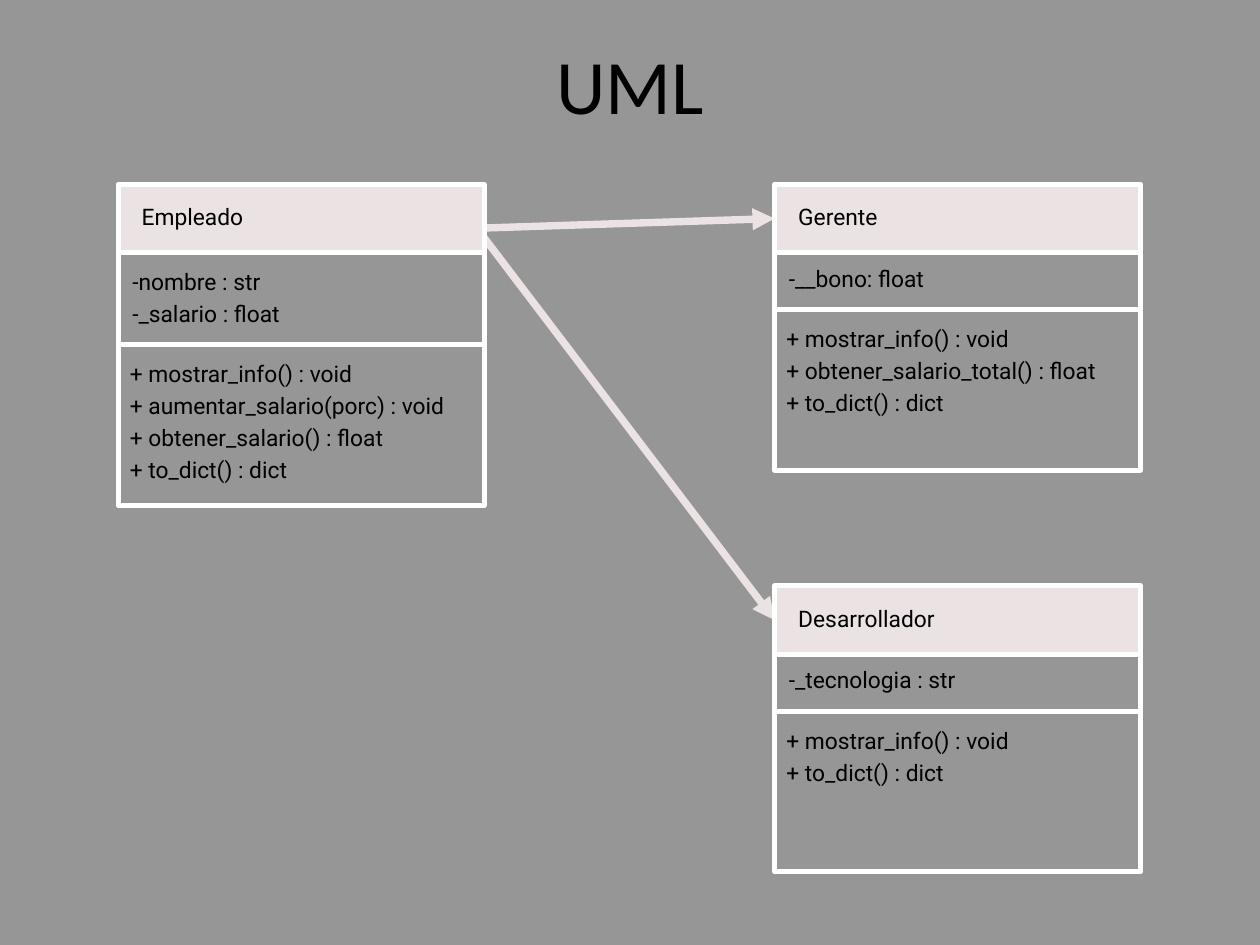
from pptx import Presentation
from pptx import util as u
from pptx.dml.color import RGBColor
from pptx.enum import shapes, text
from pptx.oxml.ns import qn
from lxml import etree

GREY = RGBColor(0x96, 0x96, 0x96)
ROSE = RGBColor(0xEB, 0xE3, 0xE3)
WHITE = RGBColor(0xFF, 0xFF, 0xFF)
BLACK = RGBColor(0, 0, 0)
WIDTH = 3.1

# left, top, name, attributes, attribute row height, attribute text offset, methods
CLASSES = [
    (1, 1.56, "Empleado", ["-nombre : str", "-_salario : float"], 0.78, 0.09,
     ["+ mostrar_info() : void", "+ aumentar_salario(porc) : void",
      "+ obtener_salario() : float", "+ to_dict() : dict"]),
    (6.56, 1.56, "Gerente", ["-__bono: float"], 0.48, 0.06,
     ["+ mostrar_info() : void", "+ obtener_salario_total() : float",
      "+ to_dict() : dict"]),
    (6.56, 4.96, "Desarrollador", ["-_tecnologia : str"], 0.48, 0.06,
     ["+ mostrar_info() : void", "+ to_dict() : dict"]),
]
# start of the arrow to each subclass
STARTS = {"Gerente": (4.11, 1.93), "Desarrollador": (4.06, 1.96)}


def write(frame, lines, font, size, gap):
    """Fill a text frame with one paragraph per line, without margins."""
    frame.margin_left = frame.margin_right = 0
    frame.margin_top = frame.margin_bottom = 0
    frame.word_wrap = True
    frame.text = "\n".join(lines)
    for para in frame.paragraphs:
        para.line_spacing = u.Pt(gap)
        para.font.name = font
        para.font.size = u.Pt(size)
        para.font.color.rgb = BLACK


prs = Presentation()
prs.slide_width, prs.slide_height = u.Inches(10.67), u.Inches(8)
slide = prs.slides.add_slide(prs.slide_layouts[5])
slide.background.fill.solid()
slide.background.fill.fore_color.rgb = GREY

title = slide.shapes.title
title.left, title.top = u.Inches(3.69), u.Inches(0.14)
title.width, title.height = u.Inches(3.29), u.Inches(1.13)
write(title.text_frame, ["UML"], "Calibri", 46.9, 56.3)
title.text_frame.auto_size = text.MSO_AUTO_SIZE.NONE
title.text_frame.vertical_anchor = text.MSO_ANCHOR.MIDDLE
title.text_frame.paragraphs[0].alignment = text.PP_ALIGN.CENTER

# Arrows come first so that the boxes cover their ends
arrows = {}
for name, (x, y) in STARTS.items():
    arrow = slide.shapes.add_connector(
        shapes.MSO_CONNECTOR.STRAIGHT, u.Inches(x), u.Inches(y),
        u.Inches(6.56), u.Inches(y))
    arrow.line.color.rgb = ROSE
    arrow.line.width = u.Pt(4.5)
    etree.SubElement(arrow.line._get_or_add_ln(), qn("a:tailEnd"), type="triangle")
    etree.SubElement(arrow._element.spPr, qn("a:effectLst"))
    arrows[name] = arrow

for left, top, name, attrs, tall, drop, methods in CLASSES:
    rows = [([name], 0.58, 0.2, 0.12), (attrs, tall, 0.12, drop),
            (methods, 1.36, 0.1, 0.09)]
    y = top
    for lines, height, dx, dy in rows:
        box = slide.shapes.add_shape(
            shapes.MSO_SHAPE.RECTANGLE, u.Inches(left), u.Inches(y),
            u.Inches(WIDTH), u.Inches(height))
        box.shadow.inherit = False
        box.line.color.rgb = WHITE
        box.line.width = u.Pt(3)
        if y == top:
            box.fill.solid()
            box.fill.fore_color.rgb = ROSE
            if name in arrows:
                arrows[name].end_connect(box, 1)
        else:
            box.fill.background()
        label = slide.shapes.add_textbox(
            u.Inches(left + dx), u.Inches(y + dy),
            u.Inches(WIDTH - dx - 0.1), u.Inches(0.27 * len(lines)))
        write(label.text_frame, lines, "Roboto", 13.9, 19.5)
        y += height

prs.save("out.pptx")
